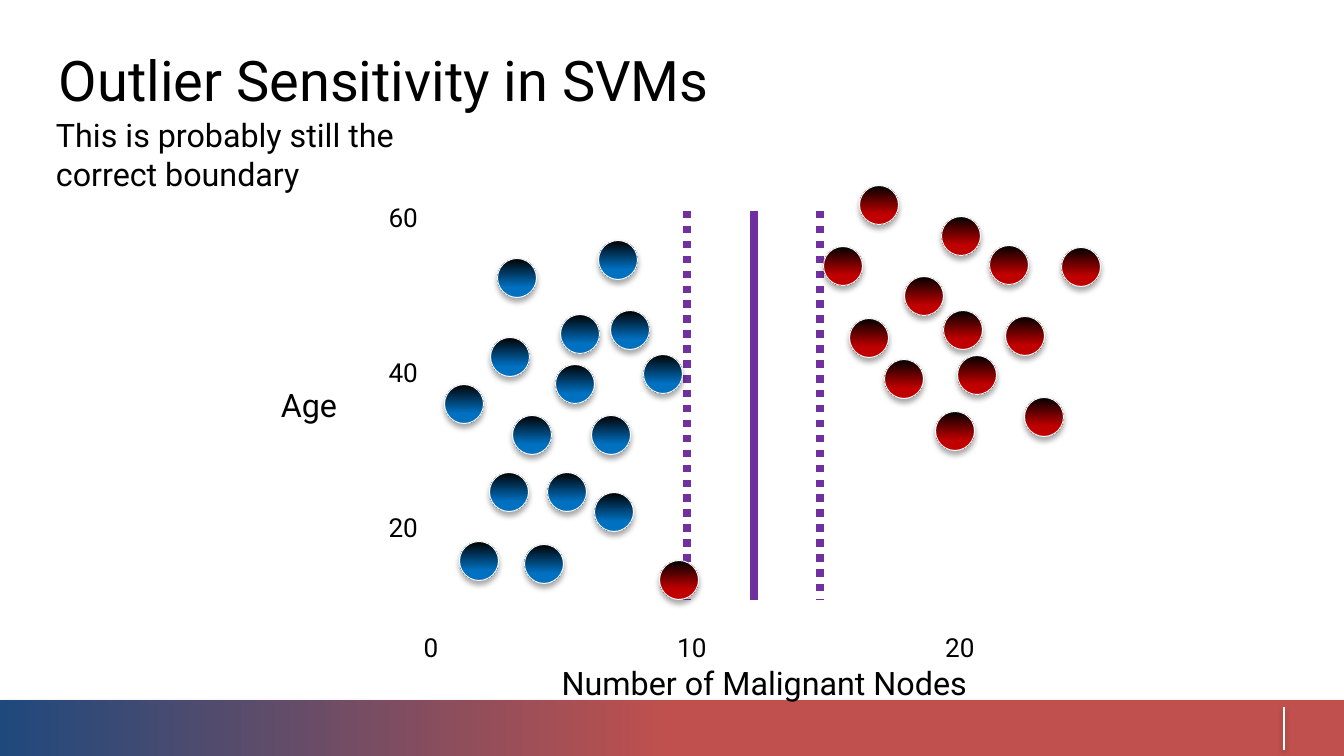
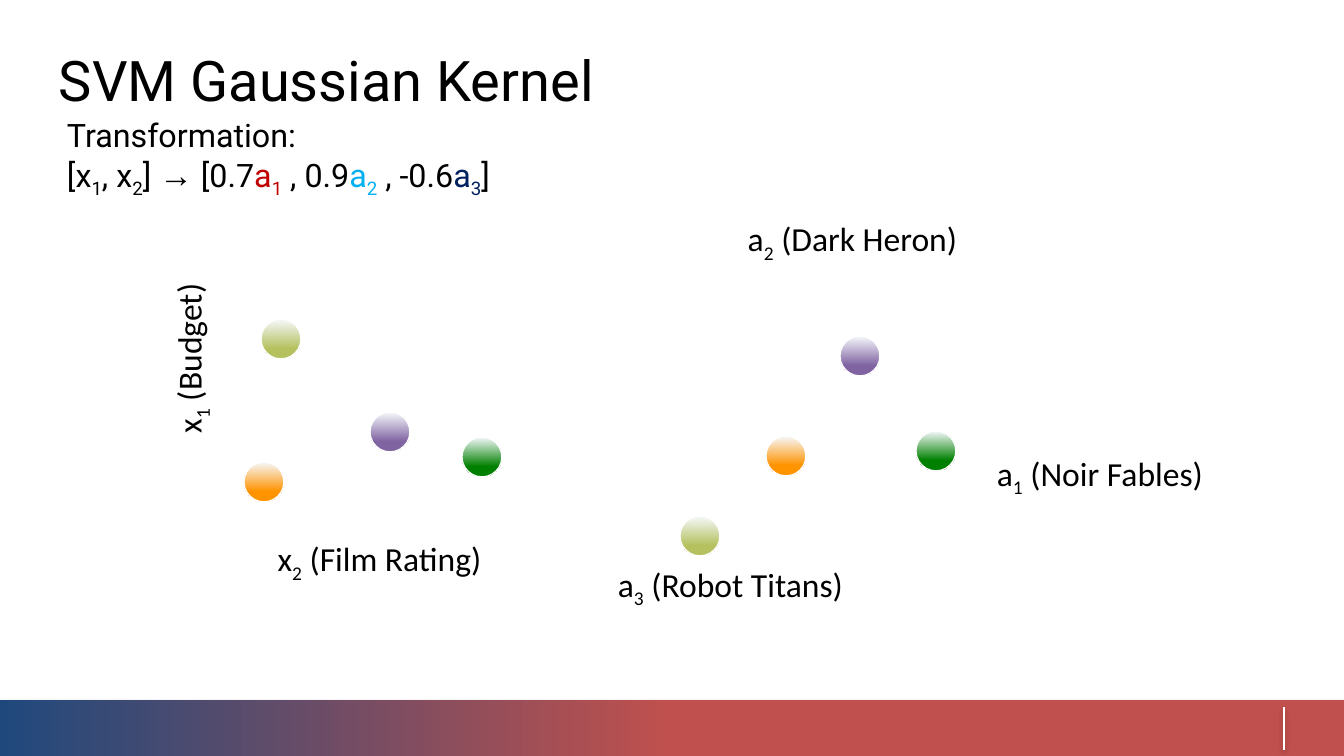
import dataclasses

import pptx
import pptx.dml.color
import pptx.enum.dml
import pptx.enum.shapes
import pptx.enum.text
import pptx.oxml.ns
import pptx.util
from lxml import etree

RGBColor = pptx.dml.color.RGBColor
ALIGN = pptx.enum.text.PP_ALIGN
ANCHOR = pptx.enum.text.MSO_ANCHOR
qn = pptx.oxml.ns.qn

EMU_PER_PX = 914400 / 134.4
SLIDE_SIZE = (1344, 756)

BLACK = RGBColor(0x00, 0x00, 0x00)
WHITE = RGBColor(0xFF, 0xFF, 0xFF)
NAVY = RGBColor(0x1F, 0x49, 0x7D)
BRICK = RGBColor(0xC0, 0x50, 0x4D)
RED = RGBColor(0xC0, 0x00, 0x00)
BLUE = RGBColor(0x00, 0x70, 0xC0)
BOUNDARY_PURPLE = RGBColor(0x70, 0x30, 0xA0)
SKY = RGBColor(0x00, 0xB0, 0xF0)
MIDNIGHT = RGBColor(0x00, 0x20, 0x60)
PALE = RGBColor(0xF6, 0xF9, 0xFC)
ORANGE = RGBColor(0xFF, 0x93, 0x00)
OLIVE = RGBColor(0xB5, 0xC1, 0x5F)
VIOLET = RGBColor(0x80, 0x64, 0xA2)
GREEN = RGBColor(0x00, 0x80, 0x00)

TITLE_BOX = (59, 46, 1240, 67)
BAND_BOX = (0, 700, 1344, 56)
BAND_MARK = (1284, 707, 1284, 750)
TITLE_SIZE, BODY_SIZE, TICK_SIZE, MOVIE_SIZE = 30, 17.3, 14, 18
AXIS_LINE_SPACING = 28.5


@dataclasses.dataclass
class Run:
    text: str
    color: RGBColor = BLACK
    subscript: bool = False
    font: str = ""
    size: float = 0


def indexed(letter, index, color=BLACK):
    """A letter followed by its subscript."""
    return [Run(letter, color), Run(index, color, subscript=True)]


# Slide 1
OUTLIER_TITLE = "Outlier Sensitivity in SVMs"
OUTLIER_NOTE = [[Run("This is probably still the correct boundary")]]
OUTLIER_NOTE_BOX = (56, 116, 441, 77)
AXIS_NAMES = [
    ("Number of Malignant Nodes", (521, 649, 487, 52)),
    ("Age", (258, 371, 102, 52)),
]
AGE_TICKS = ["60", "40", "20"]
NODE_TICKS = [("0", 431), ("10", 692), ("20", 960)]
BOUNDARY_X, MARGIN_XS = 754, (687, 820)
BOUNDARY_TOP, BOUNDARY_BOTTOM = 211, 600
PATIENT_DIAMETER = 39
PATIENTS = {
    RED: [
        (843, 266), (869, 338), (924, 296), (879, 205), (961, 236),
        (1081, 267), (1025, 336), (955, 431), (1044, 417), (904, 379),
        (963, 330), (977, 375), (1009, 265), (679, 580),
    ],
    BLUE: [
        (630, 330), (611, 435), (663, 374), (509, 492), (544, 564),
        (479, 561), (567, 492), (532, 435), (580, 334), (464, 404),
        (517, 278), (614, 512), (510, 357), (618, 260), (575, 384),
    ],
}

# Slide 2
KERNEL_TITLE = "SVM Gaussian Kernel"
TRANSFORMATION = [
    [Run("Transformation:")],
    [
        Run("["), *indexed("x", "1"), Run(", "), *indexed("x", "2"), Run("] "),
        Run("→", font="Arial", size=18),
        Run(" [0.7"), *indexed("a", "1", RED),
        Run(" , 0.9"), *indexed("a", "2", SKY),
        Run(" , -0.6"), *indexed("a", "3", MIDNIGHT), Run("]"),
    ],
]
TRANSFORMATION_BOX = (67, 93, 466, 128)
FEATURE_LABELS = [
    ("x", "2", " (Film Rating)", (202, 538, 355, 46), ALIGN.CENTER, 0),
    ("x", "1", " (Budget)", (133, 312, 156, 86), ALIGN.LEFT, 270),
    ("a", "1", " (Noir Fables)", (992, 453, 216, 86), ALIGN.CENTER, 0),
    ("a", "3", " (Robot Titans)", (605, 564, 251, 86), ALIGN.CENTER, 0),
    ("a", "2", " (Dark Heron)", (739, 218, 227, 86), ALIGN.CENTER, 0),
]
MOVIE_DIAMETER = 40
MOVIES = [  # colour, centre before and after the transformation
    (ORANGE, (264, 482), (786, 456)),
    (OLIVE, (281, 339), (700, 536)),
    (VIOLET, (390, 432), (860, 356)),
    (GREEN, (482, 457), (936, 451)),
]


def px(*lengths):
    return [pptx.util.Emu(round(length * EMU_PER_PX)) for length in lengths]


def set_effects(shape, opacity=0, distance=1.8):
    """Replace the theme effects by a soft downward shadow, or by none."""
    effects = etree.SubElement(shape.element.find(qn("p:spPr")), qn("a:effectLst"))
    if opacity:
        shadow = etree.SubElement(
            effects, qn("a:outerShdw"),
            blurRad=str(pptx.util.Pt(3.1)), dist=str(pptx.util.Pt(distance)),
            dir="5400000", rotWithShape="0")
        color = etree.SubElement(shadow, qn("a:srgbClr"), val="000000")
        etree.SubElement(color, qn("a:alpha"), val=str(opacity * 1000))


def fill_gradient(shape, start, end, end_position, angle):
    shape.fill.gradient()
    shape.fill.gradient_angle = angle
    stops = shape.fill.gradient_stops
    for stop, color, position in zip(stops, (start, end), (0, end_position)):
        stop.color.rgb = color
        stop.position = position


def add_line(slide, ends, color, width, dash=None):
    line = slide.shapes.add_connector(pptx.enum.shapes.MSO_CONNECTOR.STRAIGHT, *px(*ends))
    line.line.color.rgb = color
    line.line.width = pptx.util.Pt(width)
    if dash:
        line.line.dash_style = dash
    return line


def add_dot(slide, center, diameter, top_color, color, outline, shadow=0):
    left, top = (middle - diameter / 2 for middle in center)
    dot = slide.shapes.add_shape(
        pptx.enum.shapes.MSO_SHAPE.OVAL, *px(left, top, diameter, diameter))
    fill_gradient(dot, top_color, color, 0.74, 270)
    dot.line.color.rgb = WHITE
    dot.line.width = pptx.util.Pt(outline)
    set_effects(dot, shadow)


def write(shape, paragraphs, font, size, align=ALIGN.LEFT, anchor=ANCHOR.TOP, spacing=None):
    frame = shape.text_frame
    frame.word_wrap = True
    frame.auto_size = pptx.enum.text.MSO_AUTO_SIZE.NONE
    frame.vertical_anchor = anchor
    frame.margin_left = frame.margin_top = frame.margin_right = frame.margin_bottom = 0
    for number, runs in enumerate(paragraphs):
        paragraph = frame.add_paragraph() if number else frame.paragraphs[0]
        paragraph.alignment = align
        paragraph.space_before = pptx.util.Pt(0)
        if spacing:
            paragraph.line_spacing = pptx.util.Pt(spacing)
        for part in runs:
            run = paragraph.add_run()
            run.text = part.text
            run.font.name = part.font or font
            run.font.size = pptx.util.Pt(part.size or size)
            run.font.color.rgb = part.color
            if part.subscript:
                run._r.get_or_add_rPr().set("baseline", "-25000")


def add_label(slide, box, runs, font, size, **style):
    label = slide.shapes.add_textbox(*px(*box))
    write(label, [runs], font, size, **style)
    return label


def place(shape, box):
    shape.left, shape.top, shape.width, shape.height = px(*box)


def add_slide(presentation, title, body, body_box):
    slide = presentation.slides.add_slide(presentation.slide_layouts[1])
    title_shape, body_shape = slide.placeholders
    place(title_shape, TITLE_BOX)
    write(title_shape, [[Run(title)]], "Roboto", TITLE_SIZE)
    place(body_shape, body_box)
    write(body_shape, body, "Roboto", BODY_SIZE, anchor=ANCHOR.MIDDLE)
    for paragraph in body_shape.text_frame.paragraphs:
        properties = paragraph._p.get_or_add_pPr()
        properties.set("marL", "0")
        properties.set("indent", "0")
        etree.SubElement(properties, qn("a:buNone"))
    return slide


def move_band_to_layout(slide):
    """Draw the footer band and hand it to the layout that all slides share."""
    band = slide.shapes.add_shape(pptx.enum.shapes.MSO_SHAPE.RECTANGLE, *px(*BAND_BOX))
    fill_gradient(band, NAVY, BRICK, 0.5, 0)
    band.line.fill.background()
    set_effects(band, 35)
    mark = add_line(slide, BAND_MARK, WHITE, 0.75)
    set_effects(mark, 38, 1.6)
    for shape in (band, mark):
        slide.slide_layout.shapes.element.append(shape.element)


def build_outlier_slide(presentation):
    slide = add_slide(presentation, OUTLIER_TITLE, OUTLIER_NOTE, OUTLIER_NOTE_BOX)
    move_band_to_layout(slide)
    for name, box in AXIS_NAMES:
        add_label(slide, box, [Run(name)], "Roboto", BODY_SIZE,
                  align=ALIGN.CENTER, spacing=AXIS_LINE_SPACING)
    ticks = [(text, (384, 153 + 155 * row, 34, 106), ALIGN.RIGHT)
             for row, text in enumerate(AGE_TICKS)]
    ticks += [(text, (center - 21, 610, 42, 52), ALIGN.CENTER)
              for text, center in NODE_TICKS]
    for text, box, align in ticks:
        add_label(slide, box, [Run(text)], "Roboto", TICK_SIZE, align=align,
                  anchor=ANCHOR.MIDDLE, spacing=AXIS_LINE_SPACING)
    for x in (BOUNDARY_X, *MARGIN_XS):
        dash = pptx.enum.dml.MSO_LINE.ROUND_DOT if x in MARGIN_XS else None
        line = add_line(slide, (x, BOUNDARY_TOP, x, BOUNDARY_BOTTOM),
                        BOUNDARY_PURPLE, 4, dash)
        set_effects(line)
    for color, centers in PATIENTS.items():
        for center in centers:
            add_dot(slide, center, PATIENT_DIAMETER, BLACK, color, 0.5, shadow=35)


def build_kernel_slide(presentation):
    slide = add_slide(presentation, KERNEL_TITLE, TRANSFORMATION, TRANSFORMATION_BOX)
    for letter, index, meaning, box, align, rotation in FEATURE_LABELS:
        runs = [*indexed(letter, index), Run(meaning)]
        label = add_label(slide, box, runs, "Calibri", MOVIE_SIZE, align=align)
        label.rotation = rotation
    for color, *centers in MOVIES:
        for center in centers:
            add_dot(slide, center, MOVIE_DIAMETER, PALE, color, 0.75)


def main():
    presentation = pptx.Presentation()
    presentation.slide_width, presentation.slide_height = px(*SLIDE_SIZE)
    build_outlier_slide(presentation)
    build_kernel_slide(presentation)
    presentation.save("out.pptx")


if __name__ == "__main__":
    main()
